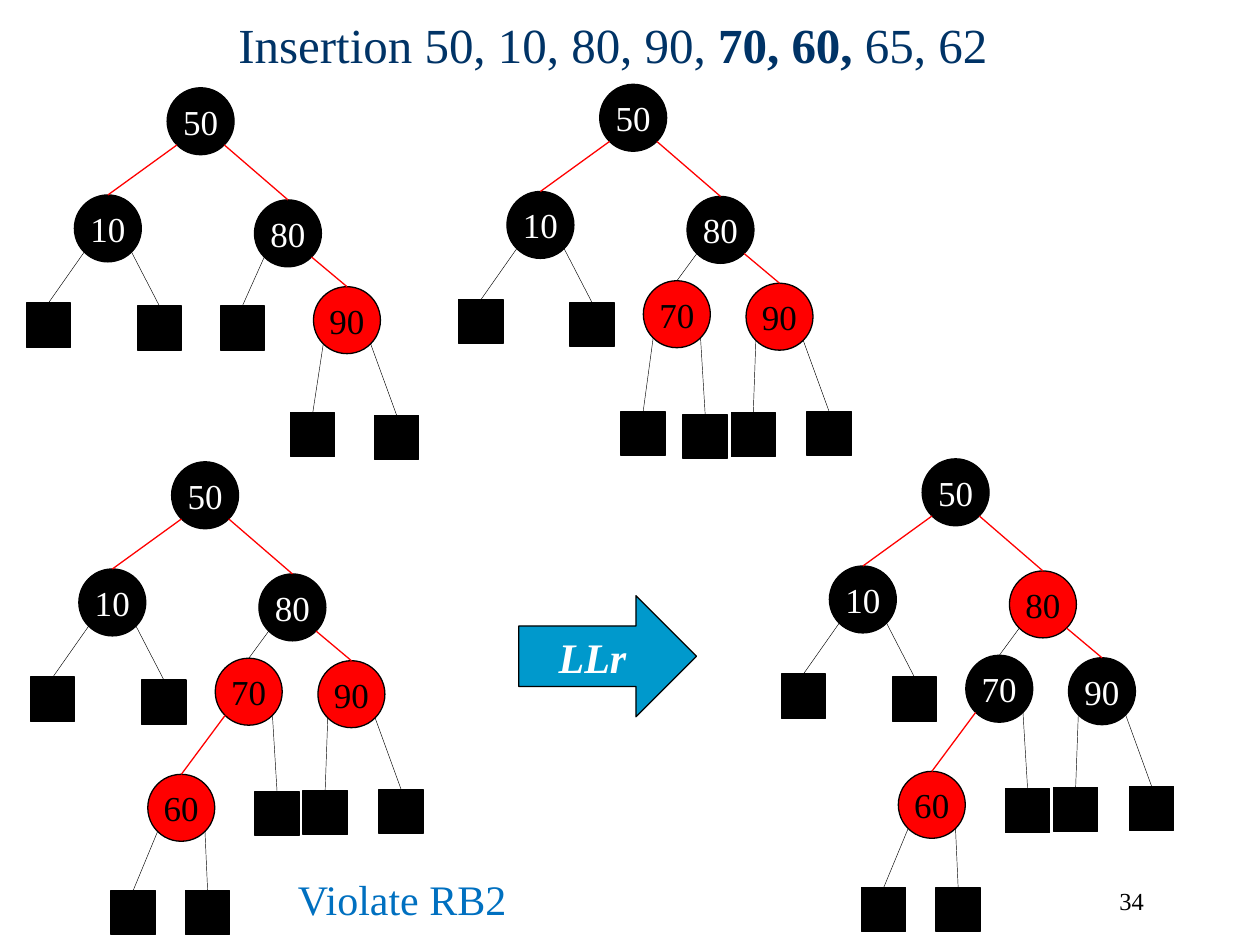
from math import sqrt

from lxml.etree import SubElement
from pptx import Presentation
from pptx.dml.color import RGBColor
from pptx.enum.shapes import MSO_CONNECTOR, MSO_SHAPE
from pptx.enum.text import MSO_ANCHOR, PP_ALIGN
from pptx.oxml.ns import qn
from pptx.util import Cm, Pt

# Content
TITLE = [("Insertion 50, 10, 80, 90, ", False), ("70, 60, ", True), ("65, 62", False)]
ARROW_LABEL = "LLr"
NOTE = "Violate RB2"
PAGE = "34"

FONT = "Times New Roman"
COLORS = {"black": "000000", "white": "FFFFFF", "red": "FF0000",
          "title": "003366", "arrow": "0099CC", "note": "0070C0"}

# Sizes and positions in cm; every tree is laid out from its root's corner
NODE, LEAF = 1.35, 0.89
NODE_OFFSETS = {"50": (0, 0), "10": (-1.87, 2.16), "80": (1.76, 2.26),
                "90": (2.95, 4.01), "70": (0.88, 3.96), "60": (-0.48, 6.3)}
LEAF_OFFSETS = {"10L": (-2.84, 4.34), "10R": (-0.6, 4.4), "80L": (1.07, 4.4),
                "90L": (2.65, 6.62), "90R": (4.18, 6.6),
                "70L": (0.43, 6.6), "70R": (1.68, 6.65),
                "60L": (-1.22, 8.64), "60R": (0.28, 8.64)}

# Child: (parent, side)
PARENTS = {"10": ("50", "L"), "80": ("50", "R"), "90": ("80", "R"),
           "70": ("80", "L"), "60": ("70", "L")}
RED_EDGES = {"10", "80", "90", "60"}

TREES = [
    {"root": (3.37, 1.77), "nodes": ["50", "10", "80", "90"], "red": {"90"},
     "moved": {"90L": (2.49, 6.55)}},
    {"root": (12.09, 1.7), "nodes": ["50", "10", "80", "90", "70"], "red": {"90", "70"}},
    {"root": (3.46, 9.31), "nodes": ["50", "10", "80", "90", "70", "60"],
     "red": {"90", "70", "60"}},
    {"root": (18.59, 9.25), "nodes": ["50", "10", "80", "90", "70", "60"],
     "red": {"80", "60"}},
]

deck = Presentation()
deck.slide_width, deck.slide_height = Cm(25.4), Cm(19.05)
slide = deck.slides.add_slide(deck.slide_layouts[6])


def color(name):
    return RGBColor.from_string(COLORS[name])


def write(shape, runs, size, ink, align=PP_ALIGN.CENTER, anchor=MSO_ANCHOR.MIDDLE,
          wrap=False, italic=False):
    frame = shape.text_frame
    frame.word_wrap = wrap
    frame.vertical_anchor = anchor
    paragraph = frame.paragraphs[0]
    paragraph.alignment = align
    for text, bold in runs:
        run = paragraph.add_run()
        run.text = text
        run.font.name, run.font.size = FONT, Pt(size)
        run.font.bold, run.font.italic = bold, italic
        run.font.color.rgb = color(ink)


def add_block(kind, left, top, width, height, fill):
    block = slide.shapes.add_shape(kind, Cm(left), Cm(top), Cm(width), Cm(height))
    block.shadow.inherit = False
    block.fill.solid()
    block.fill.fore_color.rgb = color(fill)
    block.line.color.rgb = color("black")
    block.line.width = Pt(0.75)
    return block


def add_edge(parent, side, child, is_red):
    """Join a circle's lower left or right point to the top of its child."""
    radius = parent.width / 2
    reach = radius / sqrt(2)
    x = int(parent.left + radius + (reach if side == "R" else -reach))
    y = int(parent.top + radius + reach)
    edge = slide.shapes.add_connector(MSO_CONNECTOR.STRAIGHT, x, y, x, y)
    edge.end_connect(child, 0)
    edge.line.color.rgb = color("red" if is_red else "black")
    edge.line.width = Pt(0.75 if is_red else 0.25)
    SubElement(edge._element.spPr, qn("a:effectLst"))


def draw_tree(tree):
    root_x, root_y = tree["root"]
    names = tree["nodes"]
    circles = {}
    for name in names:
        dx, dy = NODE_OFFSETS[name]
        is_red = name in tree["red"]
        circles[name] = add_block(MSO_SHAPE.OVAL, root_x + dx, root_y + dy,
                                  NODE, NODE, "red" if is_red else "black")
        write(circles[name], [(name, False)], 20, "black" if is_red else "white")
        if name in PARENTS:
            parent, side = PARENTS[name]
            add_edge(circles[parent], side, circles[name], name in RED_EDGES)

    # Every free side of a node ends in a square leaf
    taken = {"".join(PARENTS[name]) for name in names if name in PARENTS}
    offsets = LEAF_OFFSETS | tree.get("moved", {})
    for place, (dx, dy) in offsets.items():
        parent, side = place[:-1], place[-1]
        if parent in circles and place not in taken:
            leaf = add_block(MSO_SHAPE.RECTANGLE, root_x + dx, root_y + dy,
                             LEAF, LEAF, "black")
            add_edge(circles[parent], side, leaf, False)


# Title
title = slide.shapes.add_textbox(Cm(0.86), Cm(-0.71), Cm(22.99), Cm(3.18))
write(title, TITLE, 28, "title", wrap=True)

# Trees
for tree in TREES:
    draw_tree(tree)

# Rotation arrow
arrow = add_block(MSO_SHAPE.RIGHT_ARROW, 10.46, 12.01, 3.58, 2.44, "arrow")
write(arrow, [(ARROW_LABEL, True)], 24, "white", italic=True)

# Note and page number
note = slide.shapes.add_textbox(Cm(5.66), Cm(17.48), Cm(4.9), Cm(1.27))
write(note, [(NOTE, False)], 24, "note", anchor=MSO_ANCHOR.TOP, wrap=True)
page = slide.shapes.add_textbox(Cm(18.03), Cm(17.73), Cm(5.28), Cm(1.27))
write(page, [(PAGE, False)], 14, "black", PP_ALIGN.RIGHT, MSO_ANCHOR.TOP, wrap=True)

deck.save("out.pptx")
